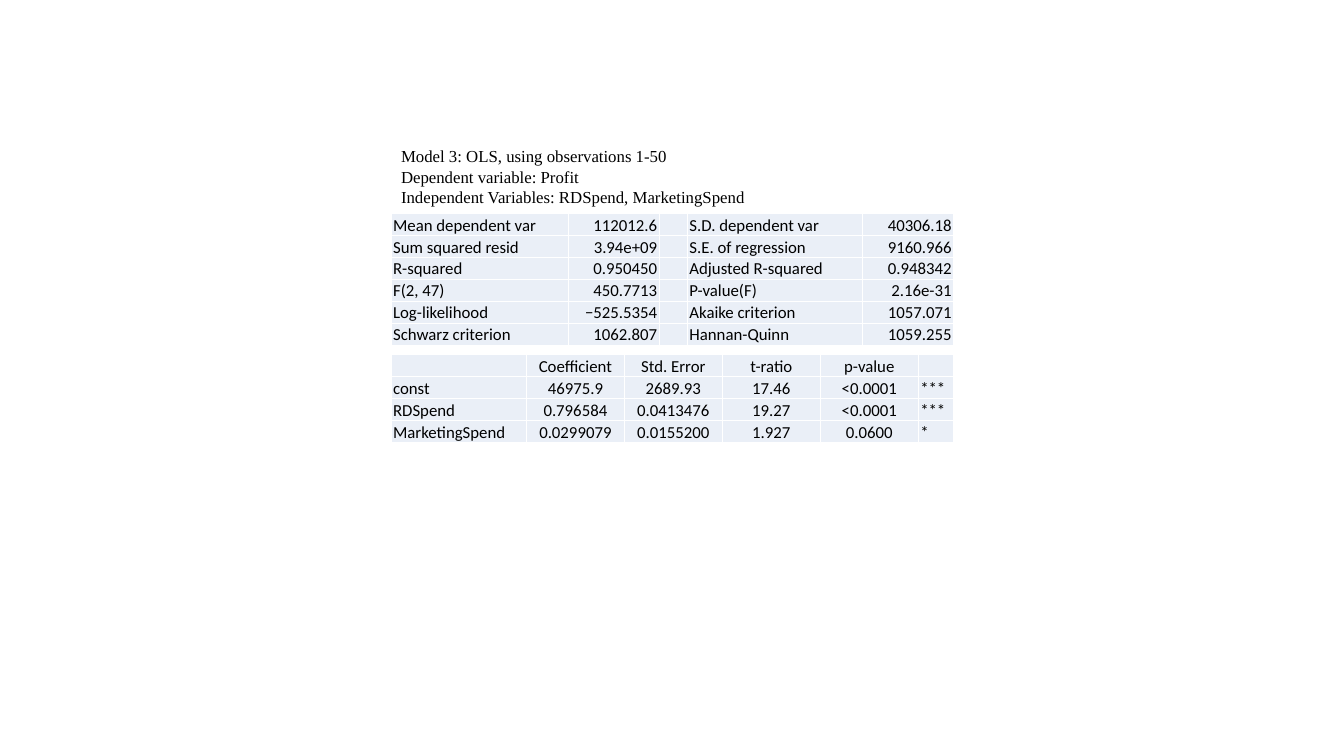
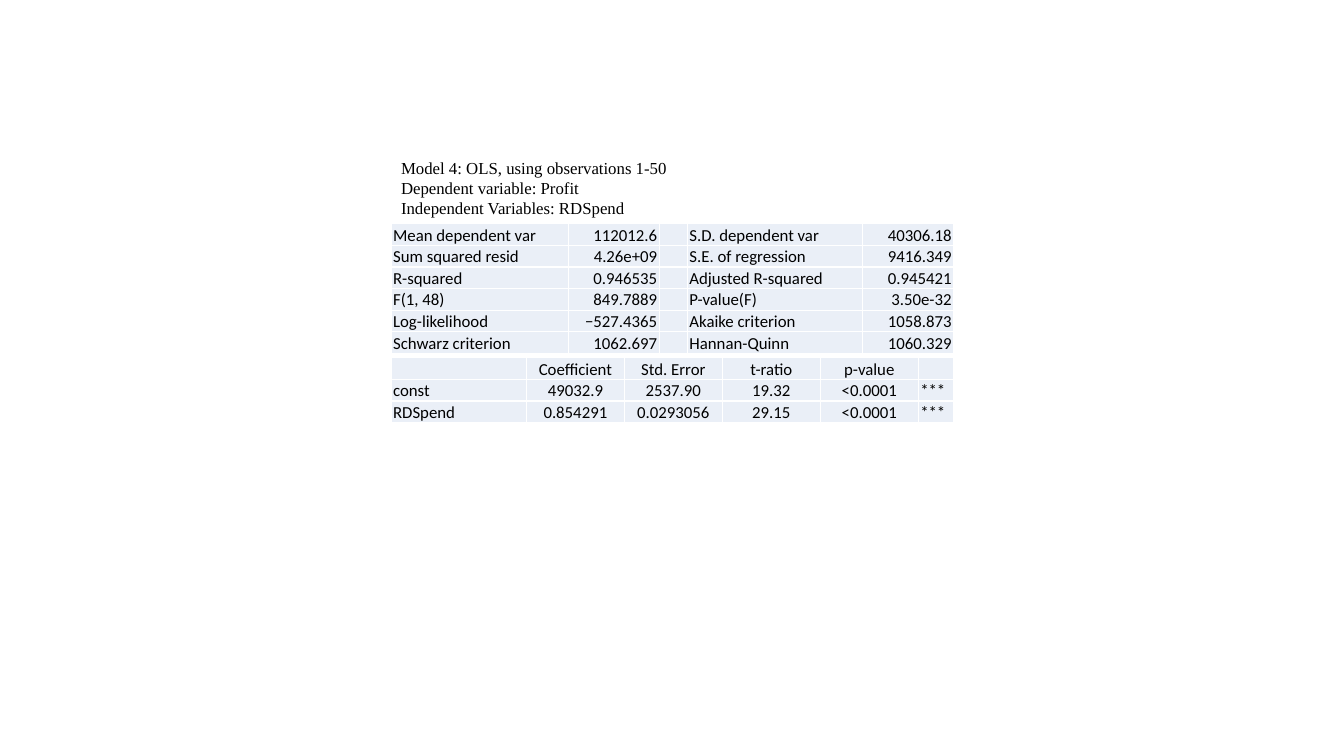
from dataclasses import dataclass

from lxml.etree import SubElement
from pptx import Presentation
from pptx.dml.color import RGBColor
from pptx.enum.text import MSO_ANCHOR, PP_ALIGN
from pptx.oxml.ns import qn
from pptx.util import Inches, Pt


@dataclass(frozen=True)
class Theme:
    """Colours, fonts and type sizes shared by the slides."""
    ink: str = "000000"
    cell: str = "EAEFF7"
    border: str = "FFFFFF"
    border_width: float = 1
    heading_font: str = "Times New Roman"
    table_font: str = "Calibri"
    size: float = 12
    line_spacing: float = 1.07


@dataclass(frozen=True)
class Box:
    """A region, in percent of the slide's width and height."""
    left: float
    top: float
    width: float
    height: float

    def lengths(self):
        """Return left, top, width and height as slide lengths."""
        return (int(WIDTH * self.left / 100), int(HEIGHT * self.top / 100),
                int(WIDTH * self.width / 100), int(HEIGHT * self.height / 100))


THEME = Theme()
WIDTH, HEIGHT = Inches(13.33), Inches(7.5)
LEFT, TABLE_WIDTH, ROW_HEIGHT = 29.1, 41.86, 2.85
HEADING_WIDTH, HEADING_HEIGHT = 27.38, 15.2
L, C, R = PP_ALIGN.LEFT, PP_ALIGN.CENTER, PP_ALIGN.RIGHT

# Column widths are shares of the table's width.
SUMMARY_COLUMNS = [(1.76, L), (0.9, R), (0.28, L), (1.74, L), (0.9, R)]
COEFFICIENT_COLUMNS = [(1.34, L)] + [(0.97, C)] * 4 + [(0.35, L)]
COEFFICIENT_HEADER = ["", "Coefficient", "Std. Error", "t-ratio", "p-value", ""]


def style_paragraph(para, font_name):
    """Give a paragraph the theme's size and colour in the named font."""
    para.font.name = font_name
    para.font.size = Pt(THEME.size)
    para.font.color.rgb = RGBColor.from_string(THEME.ink)


def add_borders(cell):
    """Draw the theme's border on all four sides of a cell."""
    properties = cell._tc.get_or_add_tcPr()
    for side in ("lnL", "lnR", "lnT", "lnB"):
        line = SubElement(properties, qn(f"a:{side}"), w=str(Pt(THEME.border_width)))
        fill = SubElement(line, qn("a:solidFill"))
        SubElement(fill, qn("a:srgbClr"), val=THEME.border)


def fill_cell(cell, text, alignment):
    """Write and style one table cell."""
    add_borders(cell)
    cell.fill.solid()
    cell.fill.fore_color.rgb = RGBColor.from_string(THEME.cell)
    cell.margin_left = cell.margin_right = Inches(0.02)
    cell.margin_top = cell.margin_bottom = 0
    para = cell.text_frame.paragraphs[0]
    para.alignment = alignment
    para.line_spacing = THEME.line_spacing
    style_paragraph(para, THEME.table_font)
    if text:
        para.add_run().text = text
    else:
        SubElement(para._p, qn("a:endParaRPr"), sz=str(int(THEME.size * 100)))


def add_grid(page, top, columns, rows):
    """Add a table whose columns are (share, alignment) pairs."""
    box = Box(LEFT, top, TABLE_WIDTH, ROW_HEIGHT * len(rows))
    left, upper, width, height = box.lengths()
    table = page.shapes.add_table(len(rows), len(columns), left, upper, width, height).table
    table.first_row = table.horz_banding = False
    total = sum(share for share, _ in columns)
    for column, (share, _) in zip(table.columns, columns):
        column.width = int(width * share / total)
    for row, texts in zip(table.rows, rows):
        for cell, text, (_, alignment) in zip(row.cells, texts, columns):
            fill_cell(cell, text, alignment)


def add_heading(page, box, lines):
    """Add the lines that describe the model."""
    frame = page.shapes.add_textbox(*box.lengths()).text_frame
    frame.word_wrap = True
    frame.vertical_anchor = MSO_ANCHOR.TOP
    frame.margin_top = Inches(0.07)
    for index, line in enumerate(lines):
        para = frame.add_paragraph() if index else frame.paragraphs[0]
        para.add_run().text = line
        style_paragraph(para, THEME.heading_font)


def summary_rows(f_test, values):
    """Pair the fit statistics' labels with their values, two to a row."""
    labels = [("Mean dependent var", "S.D. dependent var"),
              ("Sum squared resid", "S.E. of regression"),
              ("R-squared", "Adjusted R-squared"),
              (f_test, "P-value(F)"),
              ("Log-likelihood", "Akaike criterion"),
              ("Schwarz criterion", "Hannan-Quinn")]
    return [[first, value, "", second, other]
            for (first, second), (value, other) in zip(labels, values)]


def add_model_page(deck, tops, number, variables, f_test, values, coefficients):
    """Add a slide with a model's heading, fit statistics and coefficients."""
    page = deck.slides.add_slide(deck.slide_layouts[6])
    heading_top, summary_top, coefficient_top = tops
    add_grid(page, coefficient_top, COEFFICIENT_COLUMNS,
             [COEFFICIENT_HEADER] + coefficients)
    add_grid(page, summary_top, SUMMARY_COLUMNS, summary_rows(f_test, values))
    add_heading(page, Box(LEFT, heading_top, HEADING_WIDTH, HEADING_HEIGHT), [
        f"Model {number}: OLS, using observations 1-50",
        "Dependent variable: Profit",
        f"Independent Variables: {variables}"])


deck = Presentation()
deck.slide_width, deck.slide_height = WIDTH, HEIGHT
add_model_page(
    deck, (18.4, 28.27, 46.93), 3, "RDSpend, MarketingSpend", "F(2, 47)",
    [("112012.6", "40306.18"), ("3.94e+09", "9160.966"),
     ("0.950450", "0.948342"), ("450.7713", "2.16e-31"),
     ("−525.5354", "1057.071"), ("1062.807", "1059.255")],
    [["const", "46975.9", "2689.93", "17.46", "<0.0001", "***"],
     ["RDSpend", "0.796584", "0.0413476", "19.27", "<0.0001", "***"],
     ["MarketingSpend", "0.0299079", "0.0155200", "1.927", "0.0600", "*"]])
add_model_page(
    deck, (19.87, 29.6, 47.33), 4, "RDSpend", "F(1, 48)",
    [("112012.6", "40306.18"), ("4.26e+09", "9416.349"),
     ("0.946535", "0.945421"), ("849.7889", "3.50e-32"),
     ("−527.4365", "1058.873"), ("1062.697", "1060.329")],
    [["const", "49032.9", "2537.90", "19.32", "<0.0001", "***"],
     ["RDSpend", "0.854291", "0.0293056", "29.15", "<0.0001", "***"]])
deck.save("out.pptx")
